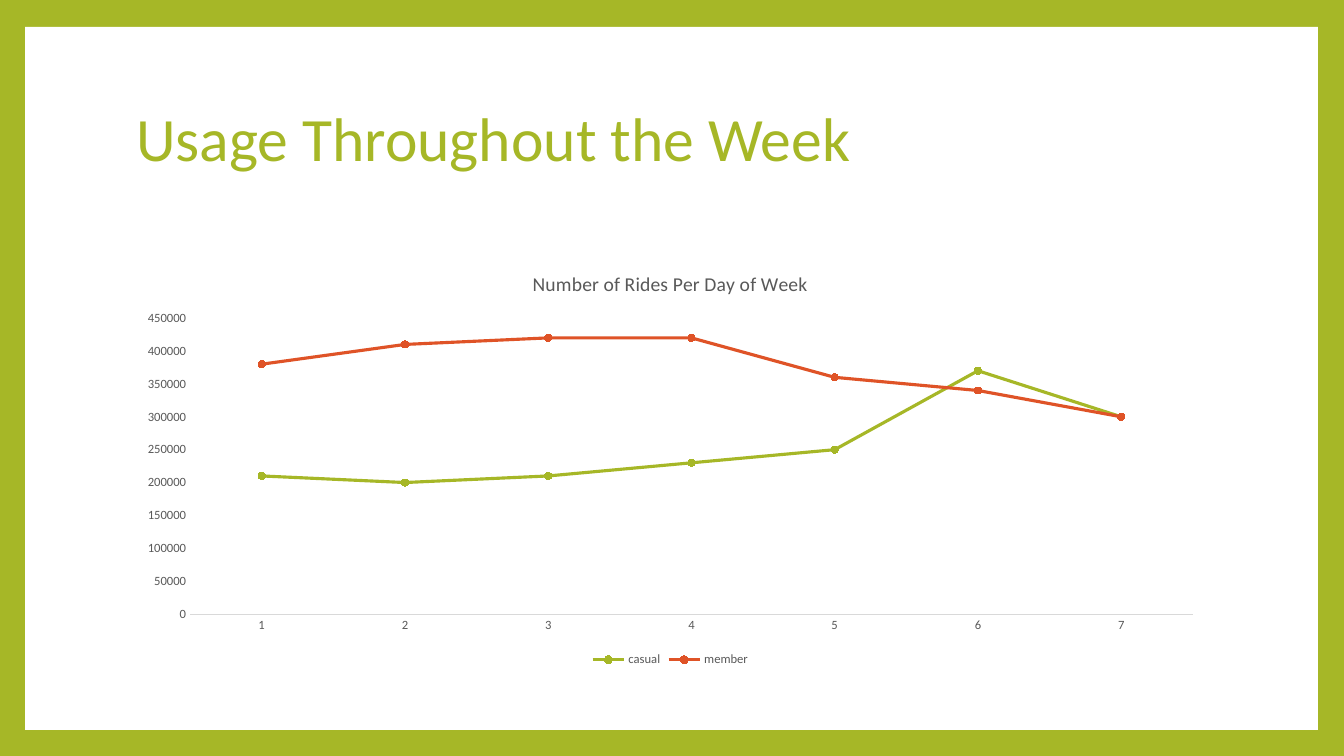
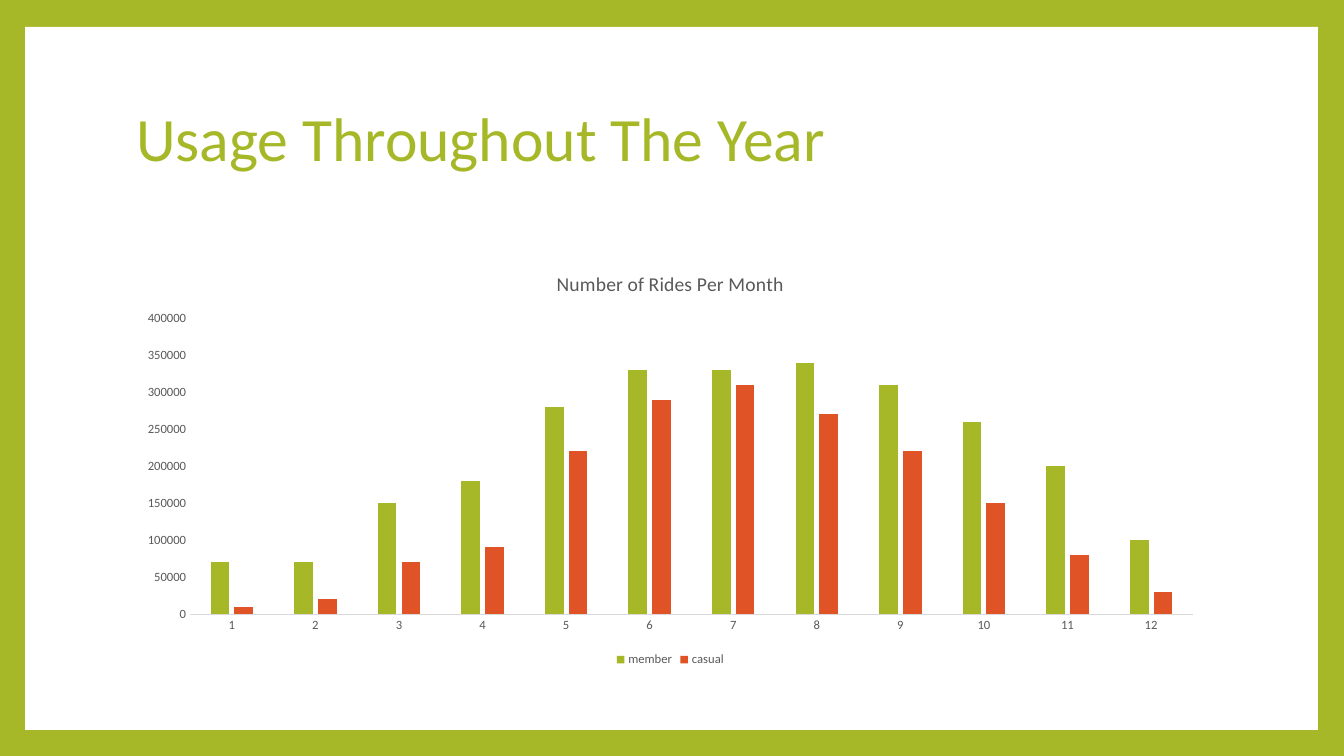
from pptx import Presentation
from pptx.chart.data import CategoryChartData
from pptx.dml.color import RGBColor
from pptx.enum.chart import XL_CHART_TYPE, XL_LEGEND_POSITION, XL_MARKER_STYLE, XL_TICK_MARK
from pptx.enum.shapes import MSO_SHAPE
from pptx.enum.text import MSO_ANCHOR, PP_ALIGN
from pptx.util import Inches, Pt

FONT = "Calibri"
LIME = RGBColor(0xA6, 0xB7, 0x27)
RUST = RGBColor(0xDF, 0x53, 0x27)
WHITE = RGBColor(0xFF, 0xFF, 0xFF)
BLACK = RGBColor(0, 0, 0)
GREY = RGBColor(0x59, 0x59, 0x59)
PALE = RGBColor(0xD9, 0xD9, 0xD9)

WIDE, HIGH = Inches(13.33), Inches(7.5)
COLS, ROWS = 160, 90
PANEL = (3, 3.2, 153.9, 83.7)
TITLE = (15, 8, 129.6, 17.8)
PLOT = (15, 30.1, 129.6, 49.8)

WEEK = {
    "casual": (210000, 200000, 210000, 230000, 250000, 370000, 300000),
    "member": (380000, 410000, 420000, 420000, 360000, 340000, 300000),
}
YEAR = {
    "member": (70000, 70000, 150000, 180000, 280000, 330000,
               330000, 340000, 310000, 260000, 200000, 100000),
    "casual": (10000, 20000, 70000, 90000, 220000, 290000,
               310000, 270000, 220000, 150000, 80000, 30000),
}


def grid(col, row, cols, rows):
    """Turn grid columns and rows into left, top, width and height."""
    return (int(WIDE * col / COLS), int(HIGH * row / ROWS),
            int(WIDE * cols / COLS), int(HIGH * rows / ROWS))


def style(font, size, color):
    font.name, font.size, font.bold = FONT, Pt(size), False
    font.color.rgb = color


def write(frame, text, size=14, color=GREY, align=None, space=None):
    frame.text = text
    para = frame.paragraphs[0]
    para.alignment, para.line_spacing = align, space
    style(para.runs[0].font, size, color)


def frame_deck(deck, slide):
    """Give the master its lime ground and white panel."""
    master = deck.slide_master
    ground = master.background.fill
    ground.solid()
    ground.fore_color.rgb = LIME
    panel = slide.shapes.add_shape(MSO_SHAPE.RECTANGLE, *grid(*PANEL))
    panel.shadow.inherit = False
    panel.fill.solid()
    panel.fill.fore_color.rgb = WHITE
    panel.line.fill.background()
    panel.element.nvSpPr.cNvPr.set("id", "20")
    master.shapes.element.insert(2, panel.element)


def add_slide(deck, text):
    slide = deck.slides.add_slide(deck.slide_layouts.get_by_name("Title Only"))
    title = slide.shapes.title
    title.left, title.top, title.width, title.height = grid(*TITLE)
    title.text_frame.vertical_anchor = MSO_ANCHOR.MIDDLE
    write(title.text_frame, text, size=44, color=LIME, align=PP_ALIGN.LEFT, space=0.9)
    return slide


def add_chart(slide, kind, title, data, top):
    """Add a chart of named series, with its value axis ending at top."""
    source = CategoryChartData()
    count = len(next(iter(data.values())))
    source.categories = [str(num) for num in range(1, count + 1)]
    for name, vals in data.items():
        source.add_series(name, vals)
    chart = slide.shapes.add_chart(kind, *grid(*PLOT), source).chart
    style(chart.font, 10, BLACK)
    chart.has_title = True
    write(chart.chart_title.text_frame, title)
    chart.chart_title.include_in_layout = False
    chart.has_legend = True
    chart.legend.position = XL_LEGEND_POSITION.BOTTOM
    chart.legend.include_in_layout = False
    style(chart.legend.font, 9, GREY)
    for axis in (chart.category_axis, chart.value_axis):
        axis.has_major_gridlines = False
        axis.major_tick_mark = axis.minor_tick_mark = XL_TICK_MARK.NONE
        style(axis.tick_labels.font, 9, GREY)
    line = chart.category_axis.format.line
    line.color.rgb, line.width = PALE, Pt(0.75)
    scale = chart.value_axis
    scale.format.line.fill.background()
    scale.minimum_scale, scale.maximum_scale, scale.major_unit = 0, top, 50000
    plot = chart.plots[0]
    plot.vary_by_categories = False
    return plot


def paint(fill, color):
    fill.solid()
    fill.fore_color.rgb = color


def draw_lines(plot):
    for series, color in zip(plot.series, (LIME, RUST)):
        series.smooth = False
        line, mark = series.format.line, series.marker
        line.color.rgb, line.width = color, Pt(2.25)
        mark.style, mark.size = XL_MARKER_STYLE.CIRCLE, 5
        paint(mark.format.fill, color)
        mark.format.line.color.rgb = color


def draw_bars(plot):
    plot.gap_width, plot.overlap = 219, -27
    for series, color in zip(plot.series, (LIME, RUST)):
        paint(series.format.fill, color)


def main():
    deck = Presentation()
    deck.slide_width, deck.slide_height = WIDE, HIGH

    week = add_slide(deck, "Usage Throughout the Week")
    frame_deck(deck, week)
    draw_lines(add_chart(week, XL_CHART_TYPE.LINE_MARKERS,
                         "Number of Rides Per Day of Week", WEEK, 450000))

    year = add_slide(deck, "Usage Throughout The Year")
    draw_bars(add_chart(year, XL_CHART_TYPE.COLUMN_CLUSTERED,
                        "Number of Rides Per Month", YEAR, 400000))

    deck.save("out.pptx")


if __name__ == "__main__":
    main()
